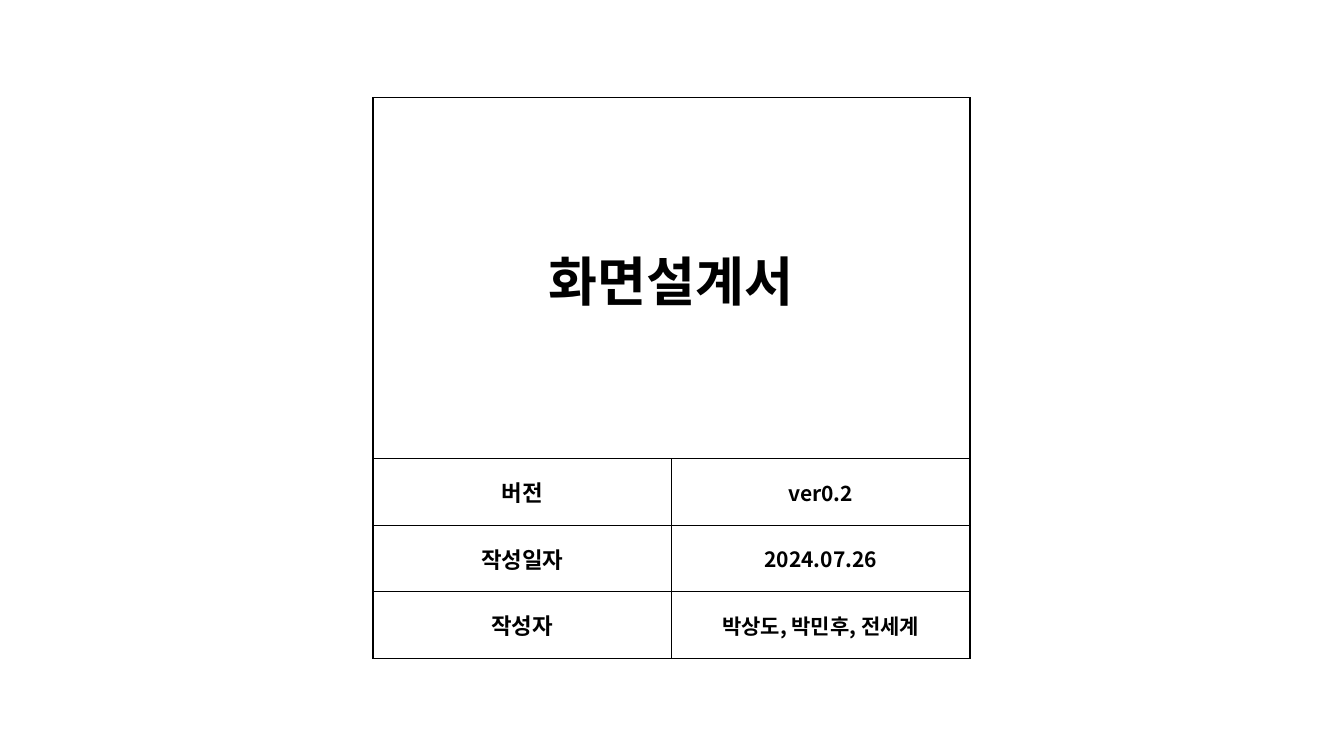
from dataclasses import dataclass

from lxml.etree import SubElement
from pptx import Presentation
from pptx.dml.color import RGBColor
from pptx.enum.text import MSO_ANCHOR, PP_ALIGN
from pptx.oxml.ns import qn
from pptx.table import Table, _Cell as Cell
from pptx.util import Inches, Pt


@dataclass(frozen=True)
class Theme:
    font: str = "Noto Sans CJK KR"
    ink: str = "000000"
    title_size: int = 38
    label_size: int = 16
    value_size: int = 15
    border_width: int = 1


@dataclass(frozen=True)
class Detail:
    label: str
    value: str


# Cover grid, in inches
LEFT, TOP = 3.7, 0.97
COLUMN_WIDTH = 2.96
TITLE_HEIGHT, DETAIL_HEIGHT = 3.58, 0.66

THEME = Theme()
TITLE = "화면설계서"
DETAILS = [
    Detail("버전", "ver0.2"),
    Detail("작성일자", "2024.07.26"),
    Detail("작성자", "박상도, 박민후, 전세계"),
]


def write_text(cell: Cell, text: str, *, size: int, bold: bool = True) -> None:
    cell.vertical_anchor = MSO_ANCHOR.MIDDLE
    paragraph = cell.text_frame.paragraphs[0]
    paragraph.alignment = PP_ALIGN.CENTER
    run = paragraph.add_run()
    run.text = text
    run.font.size = Pt(size)
    run.font.bold = bold
    run.font.color.rgb = RGBColor.from_string(THEME.ink)
    run.font.name = THEME.font
    # Korean letters take the East Asian typeface
    SubElement(run.font._element, qn("a:ea"), typeface=THEME.font)


def outline_cell(cell: Cell) -> None:
    properties = cell._tc.get_or_add_tcPr()
    for side in ("L", "R", "T", "B"):
        line = SubElement(properties, qn(f"a:ln{side}"), w=str(Pt(THEME.border_width)))
        fill = SubElement(line, qn("a:solidFill"))
        SubElement(fill, qn("a:srgbClr"), val=THEME.ink)
    cell.fill.background()


def add_cover_table(slide) -> Table:
    row_heights = [TITLE_HEIGHT] + [DETAIL_HEIGHT] * len(DETAILS)
    table = slide.shapes.add_table(
        len(row_heights), 2, Inches(LEFT), Inches(TOP),
        Inches(2 * COLUMN_WIDTH), Inches(sum(row_heights)),
    ).table
    table.first_row = table.horz_banding = False
    for row, height in zip(table.rows, row_heights):
        row.height = Inches(height)
    for cell in table.iter_cells():
        outline_cell(cell)
    return table


def main() -> None:
    presentation = Presentation()
    presentation.slide_width = Inches(13.33)
    presentation.slide_height = Inches(7.5)
    slide = presentation.slides.add_slide(presentation.slide_layouts[6])

    # Document title across both columns
    table = add_cover_table(slide)
    table.cell(0, 0).merge(table.cell(0, 1))
    write_text(table.cell(0, 0), TITLE, size=THEME.title_size)

    # Version, date and authors
    for row, detail in enumerate(DETAILS, start=1):
        write_text(table.cell(row, 0), detail.label, size=THEME.label_size)
        write_text(table.cell(row, 1), detail.value, size=THEME.value_size)

    presentation.save("out.pptx")


if __name__ == "__main__":
    main()
